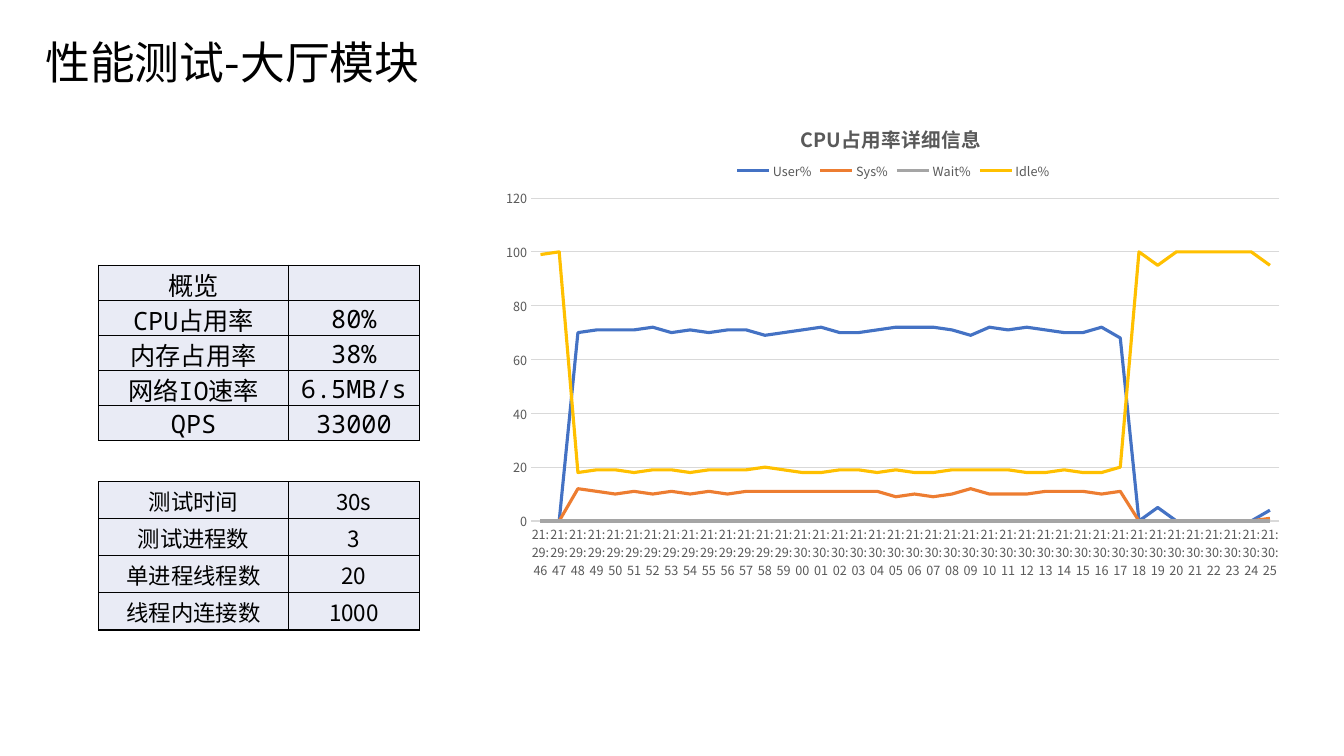
"""Build the lobby module performance slide: two summary tables and a CPU chart."""
from dataclasses import dataclass

from lxml import etree
from pptx import Presentation
from pptx.chart.data import CategoryChartData
from pptx.dml.color import RGBColor
from pptx.enum.chart import XL_CHART_TYPE, XL_LEGEND_POSITION, XL_TICK_MARK
from pptx.enum.text import MSO_ANCHOR, PP_ALIGN
from pptx.oxml import parse_xml
from pptx.oxml.ns import nsdecls, qn
from pptx.util import Emu, Inches, Pt

LINE = XL_CHART_TYPE.LINE
TOP = XL_LEGEND_POSITION.TOP
NO_TICK = XL_TICK_MARK.NONE
CENTER = PP_ALIGN.CENTER
MIDDLE = MSO_ANCHOR.MIDDLE

WIDTH, HEIGHT = Inches(13.33), Inches(7.5)
SANS, MONO = "Noto Sans CJK SC", "Noto Sans Mono"
COLORS = {
    "text": "000000", "cell": "E9EBF5", "label": "595959", "grid": "D9D9D9",
    "user": "4472C4", "sys": "ED7D31", "wait": "A5A5A5", "idle": "FFC000",
}


@dataclass
class Grid:
    """Hold a block's place in hundredths of the slide."""
    left: float
    top: float
    cols: list[float]
    row: float
    rows: int = 1

    def box(self) -> tuple[Emu, Emu, Emu, Emu]:
        """Return left, top, width and height."""
        return x(self.left), y(self.top), x(sum(self.cols)), y(self.row * self.rows)


@dataclass
class Summary:
    """Describe one table."""
    grid: Grid
    font: str
    size: int
    cells: list[tuple[str, str]]


@dataclass
class Usage:
    """Describe one chart series."""
    name: str
    color: str
    values: list[int]


TITLE = Grid(2.63, 3.87, [29.93], 8.53)
CHART = Grid(36.53, 12.4, [59.86], 65.73)
TABLE_COLS = [14.1, 9.75]
SUMMARIES = [
    Summary(Grid(7.35, 35.07, TABLE_COLS, 4.64, 5), MONO, 18, [
        ("概览", ""), ("CPU占用率", "80%"), ("内存占用率", "38%"),
        ("网络IO速率", "6.5MB/s"), ("QPS", "33000")]),
    Summary(Grid(7.35, 63.73, TABLE_COLS, 4.9, 4), SANS, 16, [
        ("测试时间", "30s"), ("测试进程数", "3"),
        ("单进程线程数", "20"), ("线程内连接数", "1000")]),
]
USAGES = [
    Usage("User%", "user", [
        0, 0, 70, 71, 71, 71, 72, 70, 71, 70, 71, 71, 69, 70, 71, 72, 70, 70, 71, 72,
        72, 72, 71, 69, 72, 71, 72, 71, 70, 70, 72, 68, 0, 5, 0, 0, 0, 0, 0, 4]),
    Usage("Sys%", "sys", [
        0, 0, 12, 11, 10, 11, 10, 11, 10, 11, 10, 11, 11, 11, 11, 11, 11, 11, 11, 9,
        10, 9, 10, 12, 10, 10, 10, 11, 11, 11, 10, 11, 0, 0, 0, 0, 0, 0, 0, 1]),
    Usage("Wait%", "wait", [0] * 40),
    Usage("Idle%", "idle", [
        99, 100, 18, 19, 19, 18, 19, 19, 18, 19, 19, 19, 20, 19, 18, 18, 19, 19, 18, 19,
        18, 18, 19, 19, 19, 19, 18, 18, 19, 18, 18, 20, 100, 95, 100, 100, 100, 100, 100, 95]),
]
TIMES = [f"21:{29 + t // 60}:{t % 60:02}" for t in range(46, 86)]


def x(share: float) -> Emu:
    """Convert hundredths of the slide width."""
    return Emu(round(WIDTH * share / 100))


def y(share: float) -> Emu:
    """Convert hundredths of the slide height."""
    return Emu(round(HEIGHT * share / 100))


def rgb(name: str) -> RGBColor:
    """Look up a colour."""
    return RGBColor.from_string(COLORS[name])


def set_font(font, size: int, color: str = "text", name: str = SANS, bold: bool = False) -> None:
    """Format a font."""
    font.size, font.name, font.bold = Pt(size), name, bold
    font.color.rgb = rgb(color)


def set_line(line, color: str, width: float) -> None:
    """Format a line."""
    line.color.rgb, line.width = rgb(color), Pt(width)


def put_text(tf, text: str, *, align=None, **style) -> None:
    """Write one formatted paragraph."""
    p = tf.paragraphs[0]
    p.alignment = align
    r = p.add_run()
    r.text = text
    set_font(r.font, **style)


def add_east_asian(root) -> None:
    """Give every Latin typeface an East Asian partner."""
    for latin in root.xpath(".//a:latin"):
        ea = etree.Element(qn("a:ea"))
        ea.set("typeface", SANS)
        latin.addnext(ea)


def add_borders(cell) -> None:
    """Outline a cell on all four sides."""
    tcPr = cell._tc.get_or_add_tcPr()
    for i, side in enumerate("LRTB"):
        tcPr.insert(i, parse_xml(
            f'<a:ln{side} {nsdecls("a")} w="{Pt(1)}"><a:solidFill>'
            f'<a:srgbClr val="{COLORS["text"]}"/></a:solidFill></a:ln{side}>'))


def add_summary(s, summary: Summary) -> None:
    """Draw a table."""
    grid = summary.grid
    table = s.shapes.add_table(grid.rows, len(grid.cols), *grid.box()).table
    table.first_row = table.horz_banding = False
    for col, width in zip(table.columns, grid.cols):
        col.width = x(width)
    for row, texts in zip(table.rows, summary.cells):
        row.height = y(grid.row)
        for cell, text in zip(row.cells, texts):
            cell.fill.solid()
            cell.fill.fore_color.rgb = rgb("cell")
            cell.vertical_anchor = MIDDLE
            cell.margin_left = cell.margin_right = cell.margin_top = Inches(0.01)
            cell.margin_bottom = 0
            add_borders(cell)
            if text:
                put_text(cell.text_frame, text, align=CENTER, size=summary.size, name=summary.font)


def place(chart, part: str, index: int, inner: str = "", **shares: float) -> None:
    """Fix a chart part at shares of the chart's size."""
    parent = chart.element.xpath(f"c:chart/c:{part}")[0]
    for old in parent.findall(qn("c:layout")):
        parent.remove(old)
    modes = '<c:xMode val="edge"/><c:yMode val="edge"/>'
    sizes = "".join(f'<c:{key} val="{val}"/>' for key, val in shares.items())
    parent.insert(index, parse_xml(
        f'<c:layout {nsdecls("c")}><c:manualLayout>{inner}{modes}{sizes}'
        "</c:manualLayout></c:layout>"))


def add_usage_chart(s) -> None:
    """Draw the CPU line chart."""
    data = CategoryChartData()
    data.categories = TIMES
    for usage in USAGES:
        data.add_series(usage.name, usage.values)
    chart = s.shapes.add_chart(LINE, *CHART.box(), data).chart
    set_font(chart.font, 10)
    chart.has_title = chart.has_legend = True
    put_text(chart.chart_title.text_frame, "CPU占用率详细信息", size=14, color="label", bold=True)
    chart.legend.position = TOP
    chart.legend.include_in_layout = False
    set_font(chart.legend.font, 9, "label")
    chart.plots[0].vary_by_categories = False
    for series, usage in zip(chart.plots[0].series, USAGES):
        series.smooth = False
        set_line(series.format.line, usage.color, 2.25)
    for axis in (chart.category_axis, chart.value_axis):
        axis.major_tick_mark = axis.minor_tick_mark = NO_TICK
        set_font(axis.tick_labels.font, 9, "label")
    set_line(chart.category_axis.format.line, "grid", 0.75)
    val = chart.value_axis
    val.minimum_scale, val.maximum_scale, val.major_unit = 0, 120, 20
    val.format.line.fill.background()
    set_line(val.major_gridlines.format.line, "grid", 0.75)
    place(chart, "title", 1, x=0.38, y=0.05)
    place(chart, "legend", 1, x=0.3, y=0.13, w=0.4, h=0.05)
    place(chart, "plotArea", 0, '<c:layoutTarget val="inner"/>', x=0.05, y=0.21, w=0.93, h=0.65)
    add_east_asian(chart.element)


def main() -> None:
    """Build and save the slide."""
    prs = Presentation()
    prs.slide_width, prs.slide_height = WIDTH, HEIGHT
    s = prs.slides.add_slide(prs.slide_layouts[6])
    tf = s.shapes.add_textbox(*TITLE.box()).text_frame
    tf.word_wrap = True
    put_text(tf, "性能测试-大厅模块", size=32)
    add_usage_chart(s)
    for summary in SUMMARIES:
        add_summary(s, summary)
    add_east_asian(s.element)
    prs.save("out.pptx")


if __name__ == "__main__":
    main()
